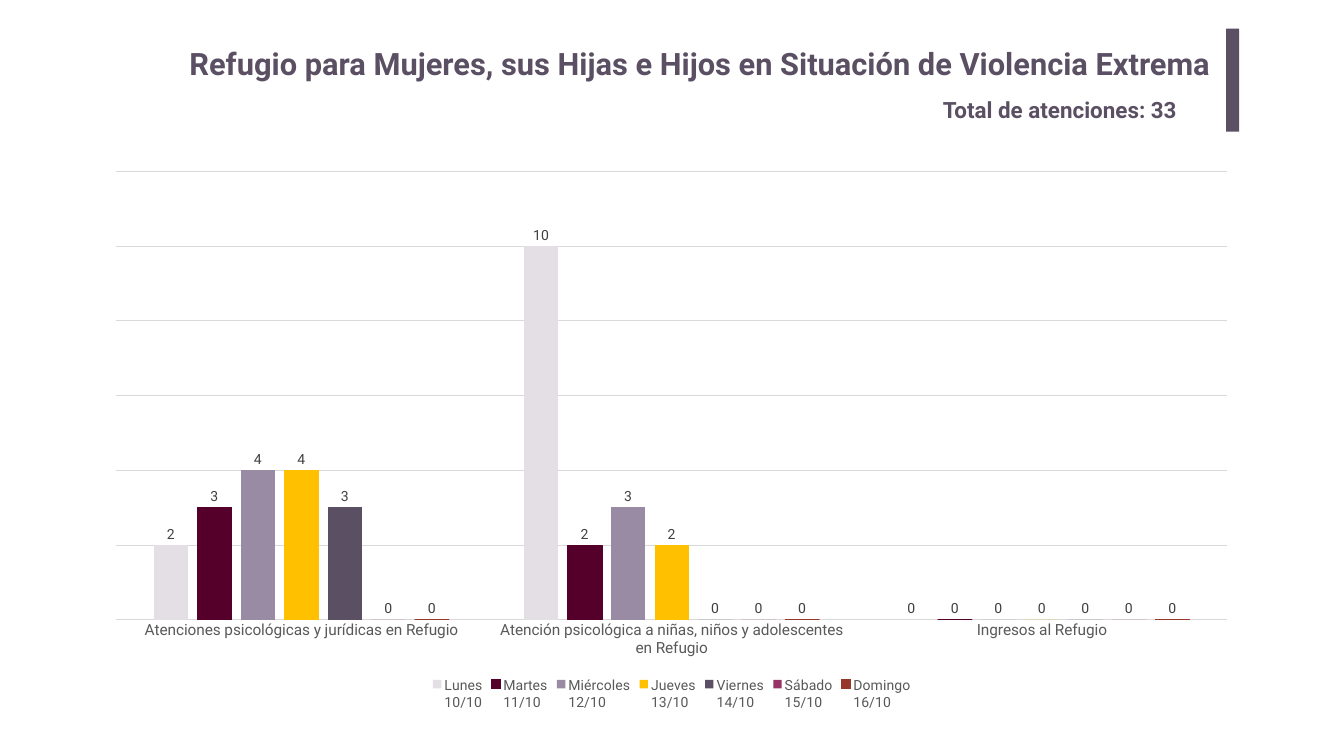
from lxml import etree
from pptx import Presentation
from pptx.chart.data import CategoryChartData
from pptx.dml.color import RGBColor
from pptx.enum.chart import XL_CHART_TYPE, XL_LABEL_POSITION, XL_LEGEND_POSITION, XL_TICK_MARK
from pptx.enum.shapes import MSO_SHAPE
from pptx.enum.text import MSO_ANCHOR, MSO_AUTO_SIZE, PP_ALIGN
from pptx.util import Inches, Pt

COLUMNS = XL_CHART_TYPE.COLUMN_CLUSTERED
OUTSIDE = XL_LABEL_POSITION.OUTSIDE_END
BOTTOM = XL_LEGEND_POSITION.BOTTOM
NO_TICK = XL_TICK_MARK.NONE
RECT = MSO_SHAPE.RECTANGLE
MIDDLE = MSO_ANCHOR.MIDDLE
NO_FIT = MSO_AUTO_SIZE.NONE
LEFT = PP_ALIGN.LEFT

FONT = "Roboto"
PURPLE = RGBColor(0x5B, 0x4F, 0x63)
LILAC = RGBColor(0xE3, 0xDF, 0xE5)
WINE = RGBColor(0x54, 0x00, 0x2A)
MAUVE = RGBColor(0x99, 0x8B, 0xA3)
AMBER = RGBColor(0xFF, 0xC0, 0x00)
MAGENTA = RGBColor(0x99, 0x33, 0x66)
BRICK = RGBColor(0x95, 0x37, 0x2B)
GRID = RGBColor(0xD9, 0xD9, 0xD9)
AXIS_TEXT = RGBColor(0x59, 0x59, 0x59)
LABEL_TEXT = RGBColor(0x40, 0x40, 0x40)

TITLE = "Refugio para Mujeres, sus Hijas e Hijos en Situación de Violencia Extrema"
TOTAL = "Total de atenciones: 33"
SERVICES = [
    "Atenciones psicológicas y jurídicas en Refugio",
    "Atención psicológica a niñas, niños y adolescentes en Refugio",
    "Ingresos al Refugio",
]
# day, values by service, colour, outlined
DAYS = [
    ("Lunes\n10/10", (2, 10, 0), LILAC, False),
    ("Martes\n11/10", (3, 2, 0), WINE, True),
    ("Miércoles\n12/10", (4, 3, 0), MAUVE, False),
    ("Jueves\n13/10", (4, 2, 0), AMBER, False),
    ("Viernes\n14/10", (3, 0, 0), PURPLE, False),
    ("Sábado\n15/10", (0, 0, 0), MAGENTA, False),
    ("Domingo\n16/10", (0, 0, 0), BRICK, True),
]
PLOT_AREA = {"x": 0.02, "y": 0.02, "w": 0.96, "h": 0.81}


def style_font(font, size, color, bold=False):
    """Set typeface, size, colour and weight."""
    font.name, font.size, font.bold = FONT, Pt(size), bold
    font.color.rgb = color


def place(sp, left, top, width, height):
    """Position and size a shape, in inches."""
    sp.left, sp.top = Inches(left), Inches(top)
    sp.width, sp.height = Inches(width), Inches(height)


def write_heading(sp, text, size):
    """Fill a shape with one bold left-aligned line."""
    tf = sp.text_frame
    tf.text = text
    tf.word_wrap, tf.auto_size, tf.vertical_anchor = True, NO_FIT, MIDDLE
    p = tf.paragraphs[0]
    p.alignment = LEFT
    style_font(p.runs[0].font, size, PURPLE, True)


def thin_line(line, color):
    """Give a line its colour and hairline width."""
    line.color.rgb, line.width = color, Pt(0.75)


def fix_plot_area(chart):
    """Set the inner plot area as fractions of the chart."""
    plot_area = chart.plots[0]._element.getparent()
    ns = etree.QName(plot_area).namespace
    for old in plot_area.findall(f"{{{ns}}}layout"):
        plot_area.remove(old)
    layout = etree.Element(f"{{{ns}}}layout")
    manual = etree.SubElement(layout, f"{{{ns}}}manualLayout")
    settings = {"layoutTarget": "inner", "xMode": "edge", "yMode": "edge", **PLOT_AREA}
    for name, value in settings.items():
        etree.SubElement(manual, f"{{{ns}}}{name}").set("val", str(value))
    plot_area.insert(0, layout)


def add_attention_chart(s):
    """Add the clustered columns of attentions per day."""
    data = CategoryChartData(number_format="0")
    data.categories = SERVICES
    for day, values, _, _ in DAYS:
        data.add_series(day, values)
    chart = s.shapes.add_chart(COLUMNS, Inches(1.85), Inches(3.18),
                               Inches(22.96), Inches(10.98), data).chart
    chart.has_title = False
    chart.font.name, chart.font.size = FONT, Pt(10)
    chart.has_legend = True
    chart.legend.position = BOTTOM
    chart.legend.include_in_layout = False
    style_font(chart.legend.font, 20, AXIS_TEXT)

    plot = chart.plots[0]
    plot.gap_width, plot.overlap, plot.vary_by_categories = 219, -27, False
    for series, (_, _, color, outlined) in zip(plot.series, DAYS):
        series.format.fill.solid()
        series.format.fill.fore_color.rgb = color
        series.invert_if_negative = False
        if outlined:
            thin_line(series.format.line, color)
        labels = series.data_labels
        labels.show_value, labels.position = True, OUTSIDE
        style_font(labels.font, 20, LABEL_TEXT)

    services = chart.category_axis
    services.major_tick_mark = services.minor_tick_mark = NO_TICK
    style_font(services.tick_labels.font, 22, AXIS_TEXT)
    thin_line(services.format.line, GRID)
    counts = chart.value_axis
    counts.visible = False
    counts.minimum_scale, counts.maximum_scale, counts.major_unit = 0, 12, 2
    counts.has_major_gridlines = True
    thin_line(counts.major_gridlines.format.line, GRID)
    fix_plot_area(chart)


prs = Presentation()
prs.slide_width, prs.slide_height = Inches(26.67), Inches(15)
s = prs.slides.add_slide(prs.slide_layouts[5])

bar = s.shapes.add_shape(RECT, Inches(24.33), Inches(0.57), Inches(0.26), Inches(2.04))
bar.shadow.inherit = False
bar.fill.solid()
bar.fill.fore_color.rgb = PURPLE
bar.line.fill.background()

title = s.shapes.title
place(title, 3.66, 0.84, 20.73, 0.84)
write_heading(title, TITLE, 44)
total = s.shapes.add_textbox(Inches(18.61), Inches(1.85), Inches(5.35), Inches(0.64))
write_heading(total, TOTAL, 32)
add_attention_chart(s)

prs.save("out.pptx")
